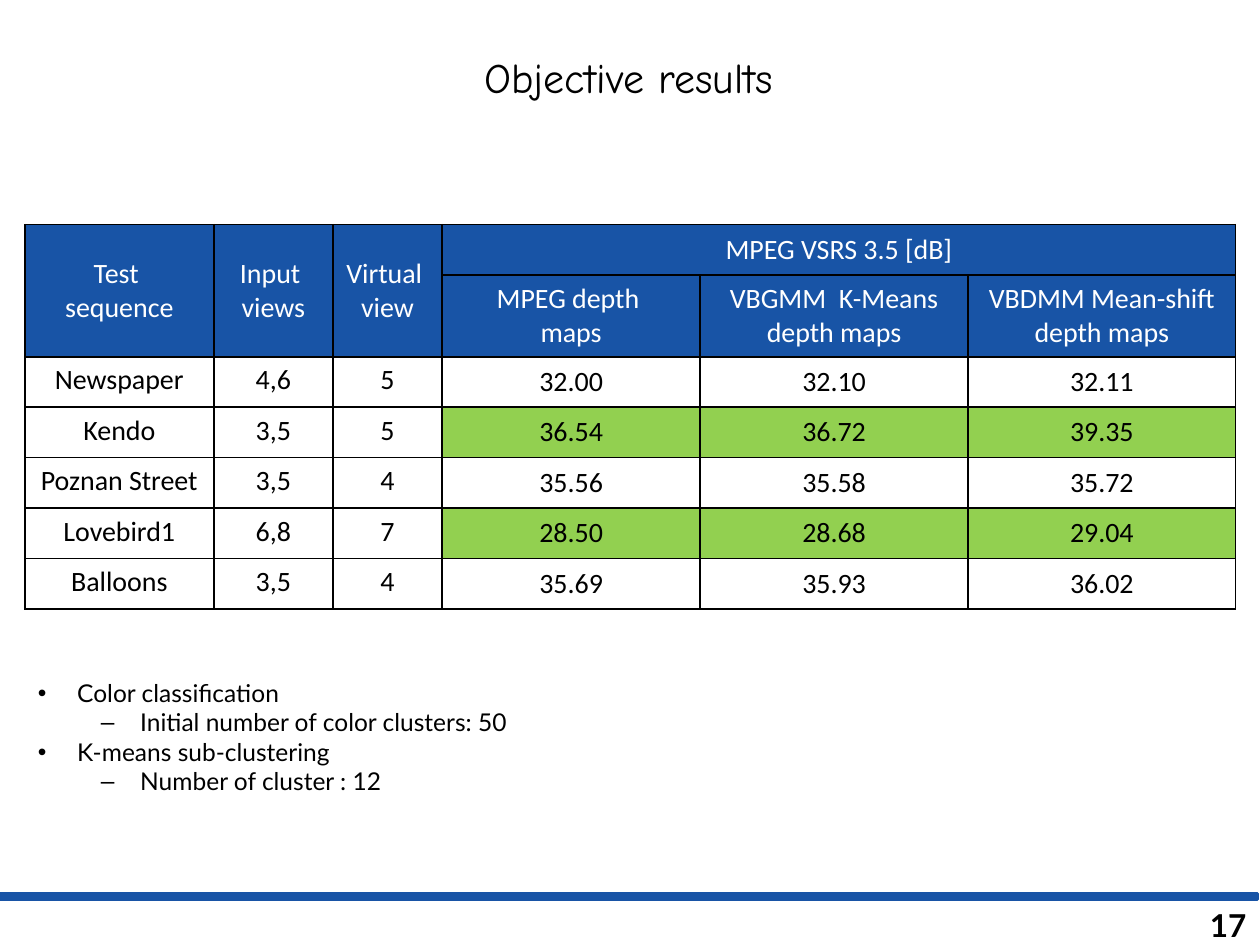
from dataclasses import dataclass

from lxml.etree import SubElement
from pptx import Presentation
from pptx.dml.color import RGBColor
from pptx.enum.shapes import MSO_SHAPE
from pptx.enum.text import MSO_ANCHOR, MSO_AUTO_SIZE, PP_ALIGN
from pptx.oxml import parse_xml
from pptx.oxml.ns import nsdecls, qn
from pptx.util import Pt


@dataclass(frozen=True)
class Theme:
    blue: str = "1854A6"
    green: str = "92D050"
    white: str = "FFFFFF"
    black: str = "000000"
    title_font: str = "Comic Neue"
    body_font: str = "Lato"
    table_font: str = "Calibri"
    title_size: float = 24
    number_size: float = 18
    table_size: float = 16
    body_size: float = 14


@dataclass(frozen=True)
class Header:
    row: int
    column: int
    lines: tuple[str, ...]
    last_row: int
    last_column: int


@dataclass(frozen=True)
class Result:
    sequence: str
    inputs: str
    virtual: str
    scores: tuple[str, str, str]
    highlighted: bool = False


@dataclass(frozen=True)
class Bullet:
    text: str
    level: int = 0


THEME = Theme()
COLUMN_WIDTHS = (108, 68, 62.5, 147.5, 153, 153)
ROW_HEIGHTS = (28.8, 46.8) + (28.8,) * 5
HEADERS = (
    Header(0, 0, ("Test ", "sequence"), 1, 0),
    Header(0, 1, ("Input ", "views"), 1, 1),
    Header(0, 2, ("Virtual ", "view"), 1, 2),
    Header(0, 3, ("MPEG VSRS 3.5 [dB]",), 0, 5),
    Header(1, 3, ("MPEG depth ", "maps"), 1, 3),
    Header(1, 4, ("VBGMM  K-Means", "depth maps"), 1, 4),
    Header(1, 5, ("VBDMM Mean-shift depth maps",), 1, 5),
)
RESULTS = (
    Result("Newspaper", "4,6", "5", ("32.00", "32.10", "32.11")),
    Result("Kendo", "3,5", "5", ("36.54", "36.72", "39.35"), True),
    Result("Poznan Street", "3,5", "4", ("35.56", "35.58", "35.72")),
    Result("Lovebird1", "6,8", "7", ("28.50", "28.68", "29.04"), True),
    Result("Balloons", "3,5", "4", ("35.69", "35.93", "36.02")),
)
BULLETS = (
    Bullet("Color classification"),
    Bullet("Initial number of color clusters: 50", 1),
    Bullet("K-means sub-clustering"),
    Bullet("Number of cluster : 12", 1),
)


def place(shape, left: float, top: float, width: float, height: float) -> None:
    shape.left, shape.top = Pt(left), Pt(top)
    shape.width, shape.height = Pt(width), Pt(height)


def add_span(para, text: str, font: str, size: float, color: str, bold: bool = False) -> None:
    span = para.add_run()
    span.text = text
    span.font.name = font
    span.font.size = Pt(size)
    span.font.bold = bold
    span.font.color.rgb = RGBColor.from_string(color)


def paint(shape, color: str) -> None:
    shape.fill.solid()
    shape.fill.fore_color.rgb = RGBColor.from_string(color)


def add_borders(cell) -> None:
    properties = cell._tc.get_or_add_tcPr()
    for index, side in enumerate(("lnL", "lnR", "lnT", "lnB")):
        properties.insert(index, parse_xml(
            f'<a:{side} {nsdecls("a")} w="{Pt(1)}"><a:solidFill>'
            f'<a:srgbClr val="{THEME.black}"/></a:solidFill></a:{side}>'))


def fill_cell(cell, lines: tuple[str, ...], color: str, fill: str, anchor) -> None:
    paint(cell, fill)
    cell.vertical_anchor = anchor
    frame = cell.text_frame
    for index, line in enumerate(lines):
        para = frame.add_paragraph() if index else frame.paragraphs[0]
        para.alignment = PP_ALIGN.CENTER
        add_span(para, line, THEME.table_font, THEME.table_size, color)


def add_results_table(page) -> None:
    table = page.shapes.add_table(
        len(ROW_HEIGHTS), len(COLUMN_WIDTHS), Pt(14.2), Pt(128.3),
        Pt(sum(COLUMN_WIDTHS)), Pt(sum(ROW_HEIGHTS))).table
    table.horz_banding = False
    for column, width in zip(table.columns, COLUMN_WIDTHS):
        column.width = Pt(width)
    for row, height in zip(table.rows, ROW_HEIGHTS):
        row.height = Pt(height)
    for cell in table.iter_cells():
        paint(cell, THEME.blue)
        add_borders(cell)

    for header in HEADERS:
        cell = table.cell(header.row, header.column)
        if (header.row, header.column) != (header.last_row, header.last_column):
            cell.merge(table.cell(header.last_row, header.last_column))
        fill_cell(cell, header.lines, THEME.white, THEME.blue, MSO_ANCHOR.MIDDLE)

    for row, result in enumerate(RESULTS, start=2):
        labels = (result.sequence, result.inputs, result.virtual)
        for column, label in enumerate(labels):
            fill_cell(table.cell(row, column), (label,), THEME.black,
                      THEME.white, MSO_ANCHOR.TOP)
        score_fill = THEME.green if result.highlighted else THEME.white
        for column, score in enumerate(result.scores, start=len(labels)):
            fill_cell(table.cell(row, column), (score,), THEME.black,
                      score_fill, MSO_ANCHOR.MIDDLE)


def add_title(page) -> None:
    box = page.shapes.title
    place(box, 0, 21, 718.5, 45.5)
    frame = box.text_frame
    frame.auto_size = MSO_AUTO_SIZE.NONE
    frame.vertical_anchor = MSO_ANCHOR.MIDDLE
    para = frame.paragraphs[0]
    para.alignment = PP_ALIGN.CENTER
    add_span(para, "Objective results", THEME.title_font, THEME.title_size, THEME.black)


def add_bullets(page) -> None:
    box = page.placeholders[1]
    place(box, 14.4, 383.8, 284.4, 75)
    frame = box.text_frame
    frame.auto_size = MSO_AUTO_SIZE.NONE
    frame.word_wrap = False
    for index, bullet in enumerate(BULLETS):
        para = frame.add_paragraph() if index else frame.paragraphs[0]
        para.level = bullet.level
        properties = para._p.get_or_add_pPr()
        properties.set("marL", str(Pt(22.5 + 36 * bullet.level)))
        properties.set("indent", str(Pt(-22.5)))
        SubElement(properties, qn("a:buChar")).set("char", "•–"[bullet.level])
        para.space_before = Pt(0)
        add_span(para, bullet.text, THEME.body_font, THEME.body_size, THEME.black)


def add_footer(page) -> None:
    bar = page.shapes.add_shape(MSO_SHAPE.RECTANGLE, Pt(0), Pt(510.5), Pt(718.5), Pt(3.6))
    bar.shadow.inherit = False
    paint(bar, THEME.blue)
    bar.line.color.rgb = RGBColor.from_string(THEME.blue)
    bar.line.width = Pt(2)

    frame = page.shapes.add_textbox(Pt(668.2), Pt(514), Pt(51.1), Pt(29)).text_frame
    frame.word_wrap = True
    para = frame.paragraphs[0]
    para.alignment = PP_ALIGN.RIGHT
    add_span(para, "17", THEME.body_font, THEME.number_size, THEME.black, bold=True)


def main() -> None:
    deck = Presentation()
    deck.slide_width, deck.slide_height = Pt(720), Pt(540)
    page = deck.slides.add_slide(deck.slide_layouts[1])
    add_title(page)
    add_results_table(page)
    add_bullets(page)
    add_footer(page)
    deck.save("out.pptx")


if __name__ == "__main__":
    main()
